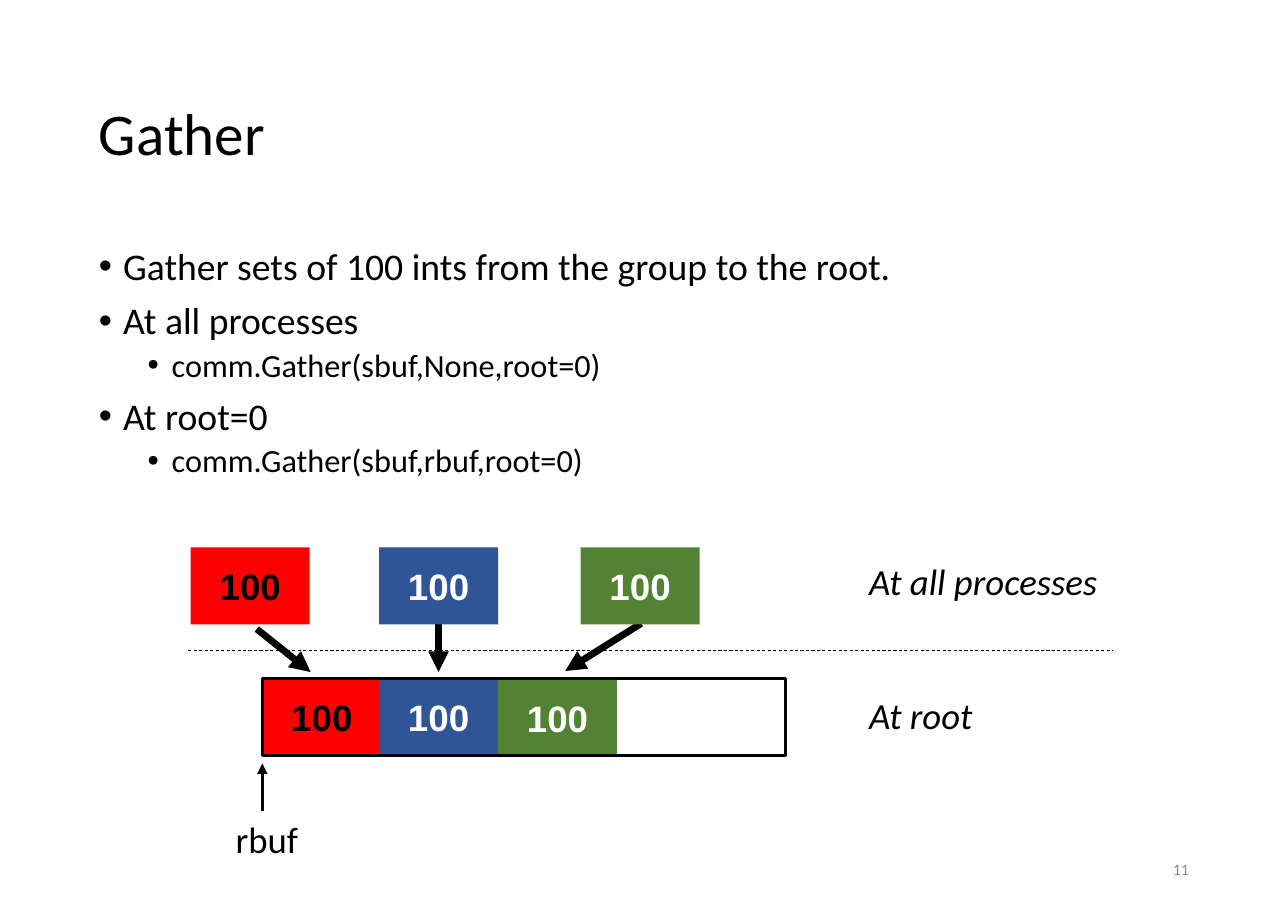
"""Build the slide that explains how Gather moves data to the root."""
from dataclasses import dataclass
from lxml.etree import SubElement as Sub
from pptx import Presentation
from pptx.dml.color import RGBColor as Rgb
from pptx.enum.dml import MSO_LINE_DASH_STYLE as Dash
from pptx.enum.shapes import MSO_CONNECTOR as Conn, MSO_SHAPE as Form
from pptx.enum.text import MSO_ANCHOR as Anchor, PP_ALIGN as Align
from pptx.oxml.ns import qn
from pptx.util import Pt

WIDE, HIGH = 77.8, 50.4
SEND, ROOT = 357.8, 443.5
BASE = {"name": "Calibri", "size": Pt(24)}


@dataclass
class Note:
    text: str
    area: tuple
    font: dict
    frame: dict
    para: dict
    hue: str = "000000"


@dataclass
class Line:
    text: str
    level: int = 0


@dataclass
class Cell:
    left: float
    top: float
    fill: str
    ink: str = "FFFFFF"


@dataclass
class Wire:
    ends: tuple
    width: float
    arrow: bool = True


MID = {"word_wrap": True, "vertical_anchor": Anchor.MIDDLE}
FIT = {"word_wrap": False}
SLANT = {"italic": True}

NOTES = [
    Note("Gather", (57.6, 31.7, 726.5, 115.2), {"size": Pt(38.6)}, MID,
         {"line_spacing": 0.9}),
    Note("11", (594.7, 552.2, 189.4, 31.7), {"size": Pt(10.5)}, MID,
         {"alignment": Align.RIGHT}, "8C8C8C"),
    Note("At all processes", (560.9, 361.4, 166.3, 36), SLANT, FIT, {}),
    Note("At root", (560.9, 449.3, 82.8, 36), SLANT, FIT, {}),
    Note("rbuf", (146.9, 530.6, 56.9, 36), {}, FIT, {}),
]
LINES = [
    Line("Gather sets of 100 ints from the group to the root."),
    Line("At all processes"),
    Line("comm.Gather(sbuf,None,root=0)", 1),
    Line("At root=0"),
    Line("comm.Gather(sbuf,rbuf,root=0)", 1),
]
CELLS = [
    Cell(124.6, SEND, "FE0000", "000000"),
    Cell(247.7, SEND, "2F5597"),
    Cell(379.4, SEND, "548235"),
    Cell(171.4, ROOT, "FE0000", "000000"),
    Cell(247.7, ROOT, "2F5597"),
    Cell(325.4, ROOT + 0.7, "548235"),
]
WIRES = [
    Wire((167.8, 411.1, 203, 439.2), 4.5),
    Wire((286.6, 407.5, 286.6, 439.2), 4.5),
    Wire((419, 407.5, 369.4, 438.5), 4.5),
    Wire((123.1, 424.8, 727.2, 424.8), 0.5, False),
    Wire((171.4, 529.9, 171.4, 499), 2.25),
]


def tint(code: str) -> Rgb:
    """Turn a hex string into a colour."""
    return Rgb.from_string(code)


def apply(item, vals: dict) -> None:
    """Set each value of a format on an item."""
    for key, val in vals.items():
        setattr(item, key, val)


def write(para, text: str, font: dict, hue: str) -> None:
    """Add one run of text with its font."""
    run = para.add_run()
    run.text = text
    apply(run.font, BASE | font)
    run.font.color.rgb = tint(hue)


def draw_note(shapes, note: Note) -> None:
    """Draw a text box with one line of text."""
    frame = shapes.add_textbox(*map(Pt, note.area)).text_frame
    apply(frame, note.frame)
    para = frame.paragraphs[0]
    apply(para, note.para)
    write(para, note.text, note.font, note.hue)


def draw_list(shapes, lines: list[Line]) -> None:
    """Draw the list with bullets on two levels."""
    frame = shapes.add_textbox(*map(Pt, (57.6, 158.4, 726.5, 378))).text_frame
    frame.word_wrap = True
    for num, line in enumerate(lines):
        para = frame.add_paragraph() if num else frame.paragraphs[0]
        apply(para, {"level": line.level, "line_spacing": 0.9,
                     "space_before": Pt(4.4 if line.level else 8.8)})
        props = para._p.get_or_add_pPr()
        props.set("marL", str(Pt(15.8 + 31.7 * line.level)))
        props.set("indent", str(Pt(-15.8)))
        Sub(props, qn("a:buFont"), typeface="Arial")
        Sub(props, qn("a:buChar"), char="•")
        write(para, line.text, {"size": Pt(21.1 if line.level else 24.6)}, "000000")


def draw_cell(shapes, cell: Cell) -> None:
    """Draw one block of 100 ints."""
    area = map(Pt, (cell.left, cell.top, WIDE, HIGH))
    box = shapes.add_shape(Form.RECTANGLE, *area)
    box.shadow.inherit = False
    box.fill.solid()
    box.fill.fore_color.rgb = tint(cell.fill)
    box.line.fill.background()
    apply(box.text_frame, MID)
    para = box.text_frame.paragraphs[0]
    para.alignment = Align.CENTER
    para._p.get_or_add_pPr().set("rtl", "1")
    write(para, "100", {"bold": True}, cell.ink)
    Sub(para.runs[0].font._element, qn("a:cs"), typeface="Arial")


def draw_wire(shapes, wire: Wire) -> None:
    """Draw an arrow or the dashed border."""
    link = shapes.add_connector(Conn.STRAIGHT, *map(Pt, wire.ends))
    link.line.width = Pt(wire.width)
    link.line.color.rgb = tint("000000")
    if wire.arrow:
        Sub(link.line._get_or_add_ln(), qn("a:tailEnd"), type="triangle")
    else:
        link.line.dash_style = Dash.DASH
    Sub(link._element.spPr, qn("a:effectLst"))


def draw_frame(shapes) -> None:
    """Draw the outline of the root buffer."""
    area = map(Pt, (171.4, ROOT, 342, HIGH))
    box = shapes.add_shape(Form.RECTANGLE, *area)
    box.shadow.inherit = False
    box.fill.background()
    box.line.color.rgb = tint("000000")
    box.line.width = Pt(2.25)


def main() -> None:
    """Build and save the slide."""
    deck = Presentation()
    apply(deck, {"slide_width": Pt(841.7), "slide_height": Pt(595.4)})
    shapes = deck.slides.add_slide(deck.slide_layouts[6]).shapes
    draw_list(shapes, LINES)
    for draw, items in ((draw_note, NOTES), (draw_wire, WIRES), (draw_cell, CELLS)):
        for item in items:
            draw(shapes, item)
    draw_frame(shapes)
    deck.save("out.pptx")


if __name__ == "__main__":
    main()
